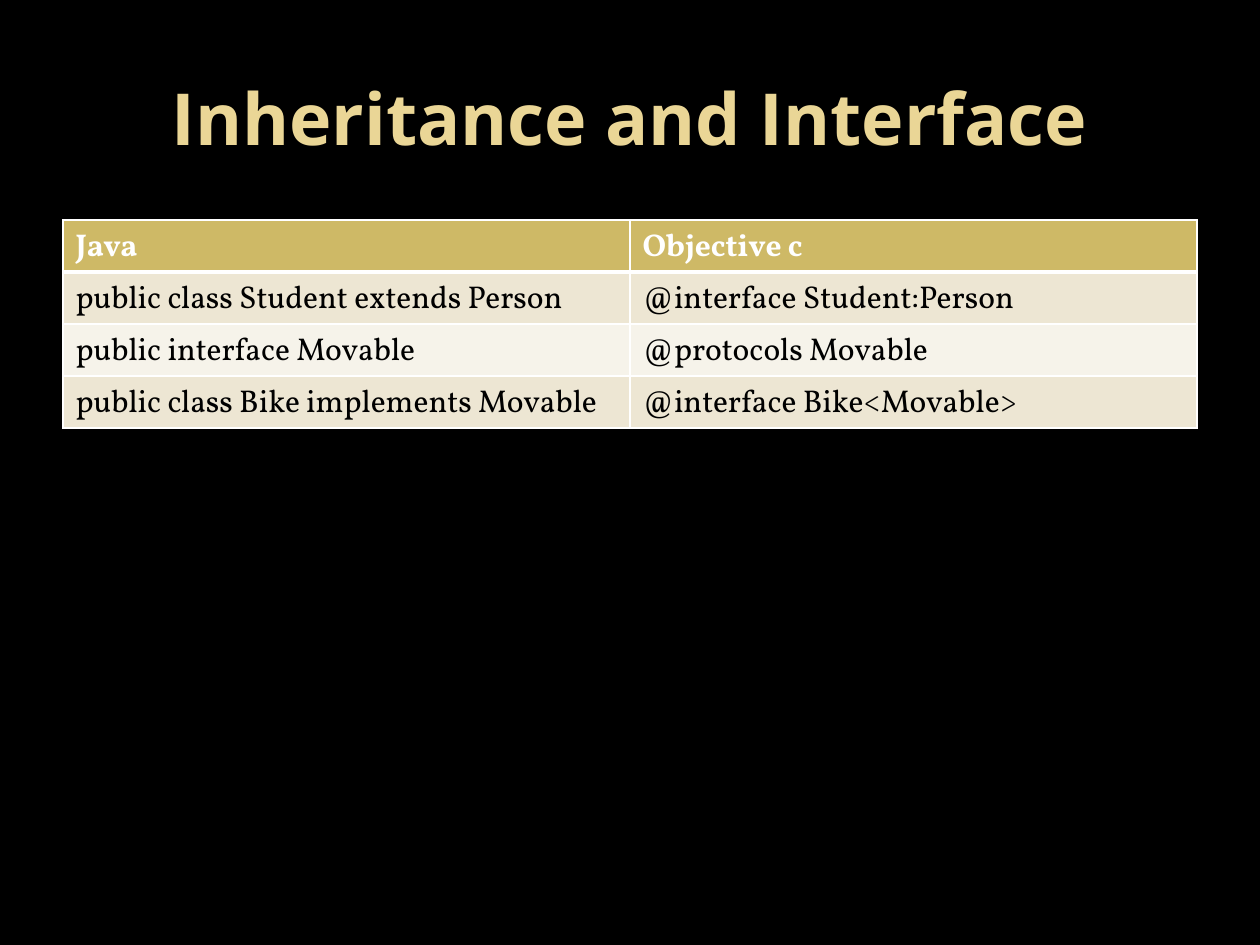
from dataclasses import dataclass

from lxml.etree import SubElement
from pptx import Presentation
from pptx.dml.color import RGBColor
from pptx.enum.text import MSO_ANCHOR, PP_ALIGN
from pptx.oxml.ns import qn
from pptx.util import Emu, Pt

# Content
TITLE = "Inheritance and Interface"
ROWS = [
    ("Java", "Objective c"),
    ("public class Student extends Person", "@interface Student:Person"),
    ("public interface Movable", "@protocols Movable"),
    ("public class Bike implements Movable", "@interface Bike<Movable>"),
]


@dataclass(frozen=True)
class Theme:
    background: str = "000000"
    title: str = "EAD696"
    header_fill: str = "CEB966"
    header_text: str = "FFFFFF"
    body_fills: tuple = ("EDE6D3", "F6F3EA")
    body_text: str = "000000"
    border: str = "FFFFFF"
    title_font: str = "Open Sans"
    body_font: str = "Vollkorn"
    title_size: int = 41
    body_size: int = 18
    thin: int = 1
    thick: int = 3


THEME = Theme()

# Layout in px, 126 to the inch
SLIDE_WIDTH, SLIDE_HEIGHT = 1260, 945
MARGIN = 63
CONTENT_WIDTH = SLIDE_WIDTH - 2 * MARGIN
TITLE_TOP, TITLE_HEIGHT = 38, 158
TABLE_TOP, ROW_HEIGHT = 220, 52


def px(length):
    return Emu(round(length * 914400 / 126))


def style_text(frame, font, size, color, bold):
    for para in frame.paragraphs:
        for span in para.runs:
            span.font.name = font
            span.font.size = Pt(size)
            span.font.bold = bold
            span.font.color.rgb = RGBColor.from_string(color)


def set_borders(cell, top, bottom):
    properties = cell._tc.get_or_add_tcPr()
    widths = {"lnL": THEME.thin, "lnR": THEME.thin, "lnT": top, "lnB": bottom}
    for position, (side, width) in enumerate(widths.items()):
        line = SubElement(properties, qn(f"a:{side}"), w=str(Pt(width)))
        fill = SubElement(line, qn("a:solidFill"))
        SubElement(fill, qn("a:srgbClr"), val=THEME.border)
        properties.insert(position, line)  # borders come before the fill


def add_title(page):
    box = page.shapes.add_textbox(px(MARGIN), px(TITLE_TOP), px(CONTENT_WIDTH), px(TITLE_HEIGHT))
    frame = box.text_frame
    frame.text = TITLE
    frame.word_wrap = True
    frame.vertical_anchor = MSO_ANCHOR.MIDDLE
    frame.paragraphs[0].alignment = PP_ALIGN.CENTER
    style_text(frame, THEME.title_font, THEME.title_size, THEME.title, True)


def add_comparison(page):
    table = page.shapes.add_table(
        len(ROWS), len(ROWS[0]), px(MARGIN), px(TABLE_TOP),
        px(CONTENT_WIDTH), px(ROW_HEIGHT * len(ROWS)),
    ).table
    for row, texts in enumerate(ROWS):
        header = row == 0
        fill = THEME.header_fill if header else THEME.body_fills[(row - 1) % 2]
        color = THEME.header_text if header else THEME.body_text
        top = THEME.thick if row == 1 else THEME.thin
        bottom = THEME.thick if header else THEME.thin
        for column, text in enumerate(texts):
            cell = table.cell(row, column)
            cell.text_frame.text = text
            style_text(cell.text_frame, THEME.body_font, THEME.body_size, color, header)
            cell.fill.solid()
            cell.fill.fore_color.rgb = RGBColor.from_string(fill)
            set_borders(cell, top, bottom)


def main():
    deck = Presentation()
    deck.slide_width, deck.slide_height = px(SLIDE_WIDTH), px(SLIDE_HEIGHT)
    page = deck.slides.add_slide(deck.slide_layouts[6])
    page.background.fill.solid()
    page.background.fill.fore_color.rgb = RGBColor.from_string(THEME.background)
    add_title(page)
    add_comparison(page)
    deck.save("out.pptx")


if __name__ == "__main__":
    main()
